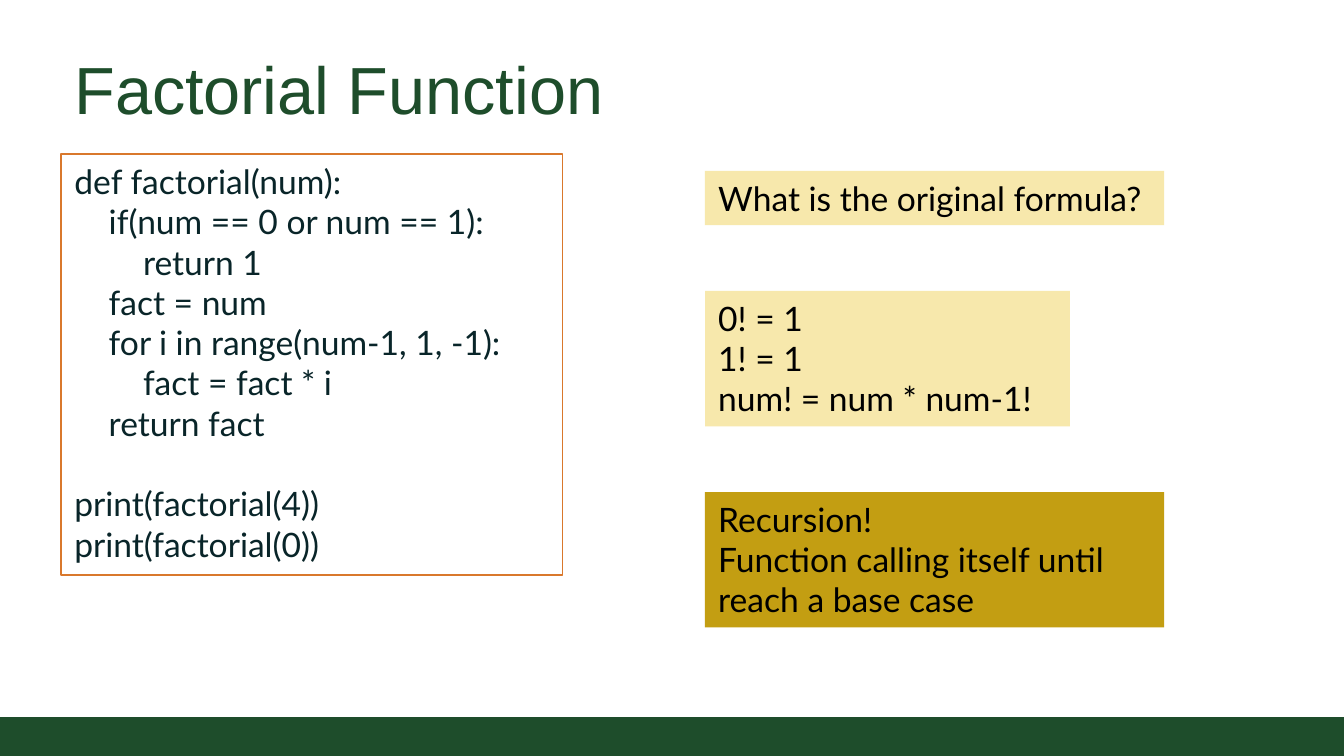
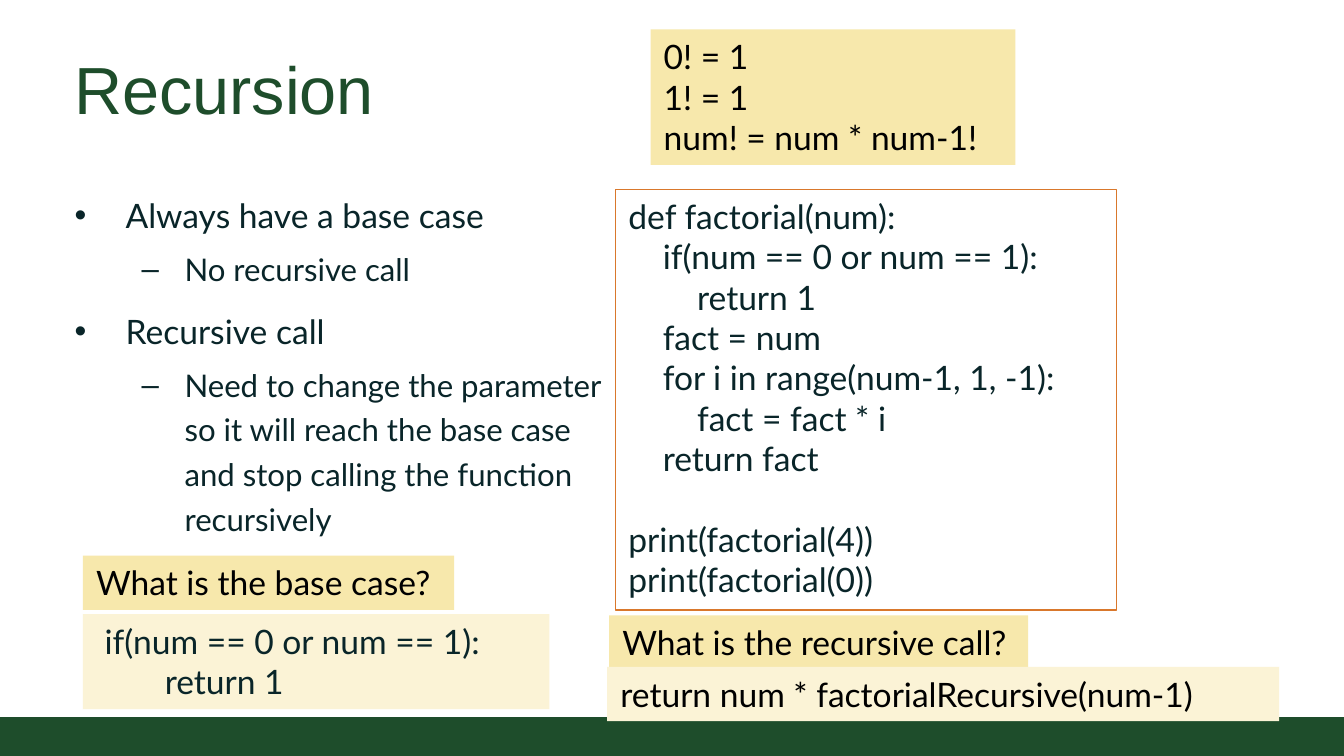
from pptx import Presentation
from pptx.dml.color import RGBColor
from pptx.enum.shapes import MSO_SHAPE
from pptx.enum.text import MSO_ANCHOR, MSO_AUTO_SIZE, PP_ALIGN
from pptx.util import Pt

# Shared colours, fonts and sizes
GREEN, INK, BLACK = "1E4D2B", "092529", "000000"
ORANGE, GOLD, YELLOW, CREAM = "D9782C", "C39E12", "F7E8AC", "FBF3D6"
HEAD, BODY = "Arial", "Lato"
WIDE, HIGH = 720, 405
LINE = 21.6  # height of one 18 pt line
STEP = 18.4  # one level of code indent

# Code lines: (level, text, space before)
CODE = [
    (0, "def factorial(num):", 0),
    (1, "if(num == 0 or num == 1):", 0),
    (2, "return 1", 0),
    (1, "fact = num", 0),
    (1, "for i in range(num-1, 1, -1):", 0),
    (2, "fact = fact * i", 0),
    (1, "return fact", 0),
    (0, "print(factorial(4))", LINE),
    (0, "print(factorial(0))", 0),
]
RULES = ["0! = 1", "1! = 1", "num! = num * num-1!"]


def color(code):
    return RGBColor.from_string(code)


def place(shape, x, y, w, h):
    shape.left, shape.top, shape.width, shape.height = map(Pt, (x, y, w, h))


def style(para, font, size, code):
    para.alignment = PP_ALIGN.LEFT
    for run in para.runs:
        run.font.name = font
        run.font.size = Pt(size)
        run.font.color.rgb = color(code)


def indent(para, left, first=0):
    props = para._p.get_or_add_pPr()
    props.set("marL", str(Pt(left)))
    props.set("indent", str(Pt(first)))


def rect(slide, x, y, w, h, fill=None, line=None):
    shape = slide.shapes.add_shape(MSO_SHAPE.RECTANGLE, *map(Pt, (x, y, w, h)))
    shape.shadow.inherit = False
    if fill:
        shape.fill.solid()
        shape.fill.fore_color.rgb = color(fill)
    else:
        shape.fill.background()
    if line:
        shape.line.color.rgb = color(line)
        shape.line.width = Pt(0.75)
    else:
        shape.line.fill.background()
    return shape


def note(slide, x, y, w, h, lines, fill=None, ink=BLACK, line=None):
    frame = rect(slide, x, y, w, h, fill, line).text_frame
    frame.word_wrap = True
    frame.vertical_anchor = MSO_ANCHOR.TOP
    frame.text = "\n".join(lines)
    for para in frame.paragraphs:
        style(para, BODY, 18, ink)
    return frame


def code(slide, x, y):
    lines = [text for _, text, _ in CODE]
    frame = note(slide, x, y, 268.5, 225.5, lines, ink=INK, line=ORANGE)
    for para, (level, _, gap) in zip(frame.paragraphs, CODE):
        indent(para, level * STEP)
        para.space_before = Pt(gap)


def setup(shape, anchor):
    frame = shape.text_frame
    frame.auto_size = MSO_AUTO_SIZE.NONE
    frame.word_wrap = True
    frame.vertical_anchor = anchor
    frame.margin_left = frame.margin_right = Pt(7.2)
    frame.margin_top = frame.margin_bottom = Pt(7.2)
    return frame


def page(prs, layout, title):
    slide = prs.slides.add_slide(prs.slide_layouts[layout])
    rect(slide, 0, 384.2, WIDE, HIGH - 384.2, GREEN)
    place(slide.shapes.title, 32.7, 18, 654.5, 57.5)
    frame = setup(slide.shapes.title, MSO_ANCHOR.BOTTOM)
    frame.text = title
    style(frame.paragraphs[0], HEAD, 35.7, GREEN)
    return slide


def points(slide, items):
    body = slide.placeholders[1]
    place(body, 32.7, 93, 297.5, 177)
    frame = setup(body, MSO_ANCHOR.TOP)
    frame.text = "\n".join(text for _, text in items)
    for para, (level, _) in zip(frame.paragraphs, items):
        para.level = level
        para.line_spacing = 1.2
        para.space_before = Pt(0 if level else 4)
        para.space_after = Pt(4)
        indent(para, *((59, -23) if level else (27.4, -27.4)))
        style(para, BODY, 16.7 if level else 18, INK)


def formula(prs):
    slide = page(prs, 5, "Factorial Function")
    code(slide, 32.8, 82.6)
    x = 377.7
    note(slide, x, 91.6, 246, 29, ["What is the original formula?"], YELLOW)
    note(slide, x, 155.8, 195.5, 72.6, RULES, YELLOW)
    note(slide, x, 263.6, 246, 72.6,
         ["Recursion!", "Function calling itself until reach a base case"], GOLD)


def recursion(prs):
    slide = page(prs, 1, "Recursion")
    points(slide, [
        (0, "Always have a base case"),
        (1, "No recursive call"),
        (0, "Recursive call"),
        (1, "Need to change the parameter so it will reach the base case "
            "and stop calling the function recursively"),
    ])
    note(slide, 348.5, 15.8, 195.5, 72.6, RULES, YELLOW)
    code(slide, 329.6, 101.4)
    # Questions with their answers
    note(slide, 44.4, 297.7, 199, 29, ["What is the base case?"], YELLOW)
    base = note(slide, 44.4, 329, 250, 51,
                ["if(num == 0 or num == 1):", "return 1"], CREAM, INK)
    for para, left in zip(base.paragraphs, (4.6, 2 * STEP)):
        indent(para, left)
    note(slide, 326.3, 329.6, 224.5, 29, ["What is the recursive call?"], YELLOW)
    note(slide, 325.3, 357.3, 360, 29,
         ["return num * factorialRecursive(num-1)"], CREAM)


def main():
    prs = Presentation()
    prs.slide_width, prs.slide_height = Pt(WIDE), Pt(HIGH)
    formula(prs)
    recursion(prs)
    prs.save("out.pptx")


if __name__ == "__main__":
    main()
